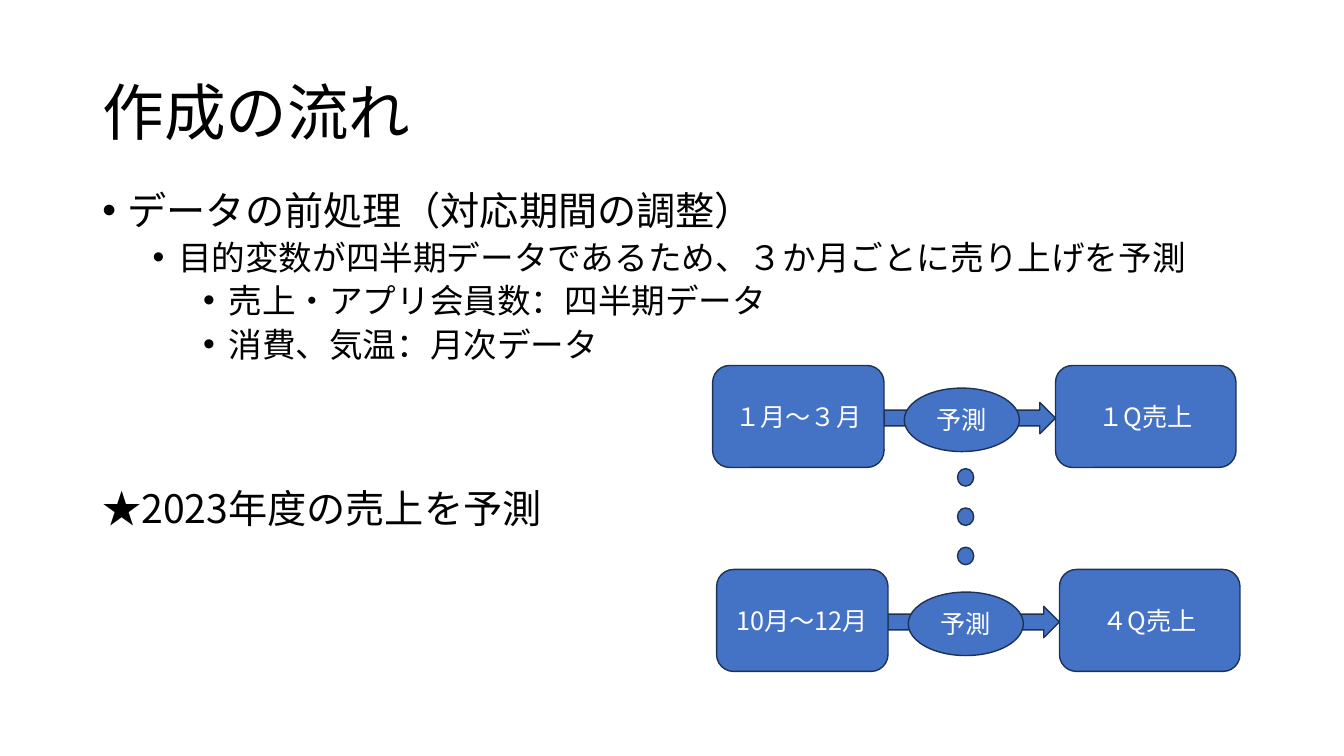
from dataclasses import dataclass

from lxml.etree import SubElement
from pptx import Presentation
from pptx.dml.color import RGBColor
from pptx.enum.shapes import MSO_SHAPE as Form
from pptx.enum.text import MSO_ANCHOR as Anchor, MSO_AUTO_SIZE as Fit, PP_ALIGN as Align
from pptx.oxml.ns import qn
from pptx.util import Cm, Pt

FONT = "Noto Sans CJK JP"
BLACK = RGBColor(0x00, 0x00, 0x00)
WHITE = RGBColor(0xFF, 0xFF, 0xFF)
BLUE = RGBColor(0x44, 0x72, 0xC4)
NAVY = RGBColor(0x1E, 0x32, 0x56)


@dataclass
class Item:
    text: str
    size: int
    pitch: float
    gap: int
    left: float = 0
    dot: bool = True


@dataclass
class Flow:
    x: float
    y: float
    months: str
    sales: str


@dataclass
class Part:
    form: Form
    dx: float
    dy: float
    w: float
    h: float
    text: str = ""


ITEMS = [
    Item("データの前処理（対応期間の調整）", 28, 30.5, 0, 0.64),
    Item("目的変数が四半期データであるため、３か月ごとに売り上げを予測", 24, 26, 5, 1.91),
    Item("売上・アプリ会員数：四半期データ", 24, 26, 5, 3.18),
    Item("消費、気温：月次データ", 24, 26, 5, 3.18),
    Item("★2023年度の売上を予測", 28, 30.5, 89, dot=False),
]
FLOWS = [
    Flow(18.06, 14.35, "10月～12月", "４Q売上"),
    Flow(17.96, 9.21, "１月～３月", "１Q売上"),
]
DOTS = 3
DOT_X, DOT_Y, DOT_STEP = 24.13, 11.81, 0.99


def style(par, size: int, pitch: float, color: RGBColor) -> None:
    par.line_spacing = Pt(pitch)
    for run in par.runs:
        font = run.font
        font.name, font.size = FONT, Pt(size)
        font.color.rgb = color
        SubElement(font._element, qn("a:ea"), typeface=FONT)


def put_title(slide, text: str) -> None:
    title = slide.shapes.title
    title.left, title.top, title.width, title.height = Cm(2.33), Cm(1.01), Cm(29.21), Cm(3.68)
    frame = title.text_frame
    frame.text = text
    frame.auto_size = Fit.NONE
    frame.vertical_anchor = Anchor.MIDDLE
    par = frame.paragraphs[0]
    par.alignment = Align.LEFT
    style(par, 44, 50, BLACK)


def put_list(slide, items: list[Item]) -> None:
    box = slide.shapes.add_textbox(Cm(2.33), Cm(4.69), Cm(29.21), Cm(12.47))
    frame = box.text_frame
    frame.word_wrap = True
    frame.text = "\n".join(item.text for item in items)
    for par, item in zip(frame.paragraphs, items):
        style(par, item.size, item.pitch, BLACK)
        par.space_before = Pt(item.gap)
        if item.dot:
            props = par._p.get_or_add_pPr()
            props.set("marL", str(Cm(item.left)))
            props.set("indent", str(Cm(-0.64)))
            SubElement(props, qn("a:buFont"), typeface="Arial")
            SubElement(props, qn("a:buChar"), char="•")


def put_part(slide, part: Part, x: float, y: float) -> None:
    shape = slide.shapes.add_shape(
        part.form, Cm(x + part.dx), Cm(y + part.dy), Cm(part.w), Cm(part.h))
    shape.shadow.inherit = False
    shape.fill.solid()
    shape.fill.fore_color.rgb = BLUE
    shape.line.color.rgb = NAVY
    shape.line.width = Pt(1)
    if part.text:
        frame = shape.text_frame
        frame.word_wrap = True
        frame.vertical_anchor = Anchor.MIDDLE
        frame.text = part.text
        par = frame.paragraphs[0]
        par.alignment = Align.CENTER
        style(par, 18, 21.5, WHITE)


def put_flow(slide, flow: Flow) -> None:
    card = Form.FLOWCHART_ALTERNATE_PROCESS
    parts = [
        Part(Form.RIGHT_ARROW, 4.32, 0.93, 4.32, 0.79),
        Part(card, 0, 0, 4.32, 2.57, flow.months),
        Part(card, 8.64, 0, 4.55, 2.57, flow.sales),
        Part(Form.OVAL, 4.83, 0.57, 2.9, 1.6, "予測"),
    ]
    for part in parts:
        put_part(slide, part, flow.x, flow.y)


def main() -> None:
    deck = Presentation()
    deck.slide_width, deck.slide_height = Cm(33.87), Cm(19.05)
    slide = deck.slides.add_slide(deck.slide_layouts[5])
    put_title(slide, "作成の流れ")
    put_list(slide, ITEMS)
    for flow in FLOWS:
        put_flow(slide, flow)
    dot = Part(Form.OVAL, 0, 0, 0.41, 0.44)
    for i in range(DOTS):
        put_part(slide, dot, DOT_X, DOT_Y + i * DOT_STEP)
    deck.save("out.pptx")


if __name__ == "__main__":
    main()
